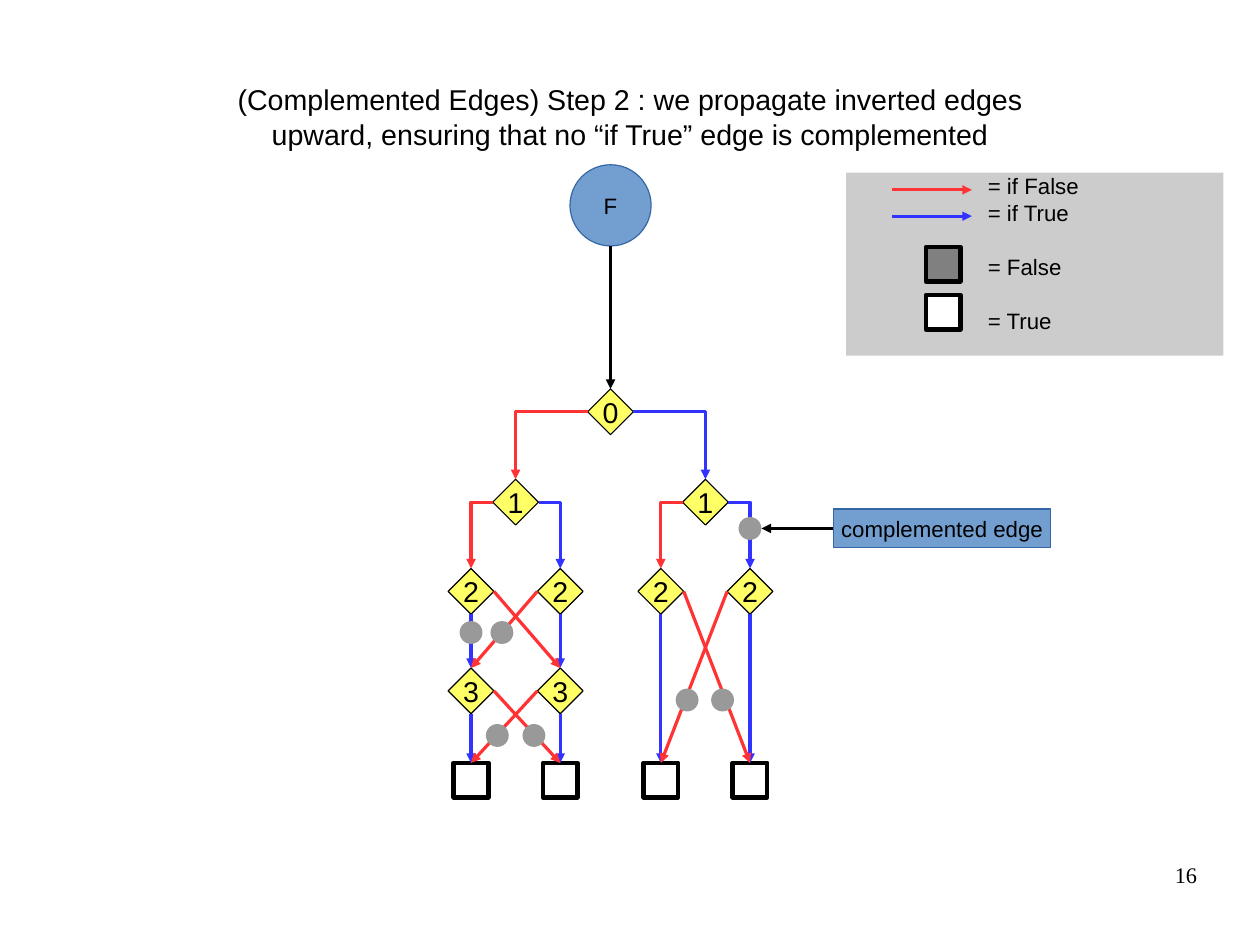
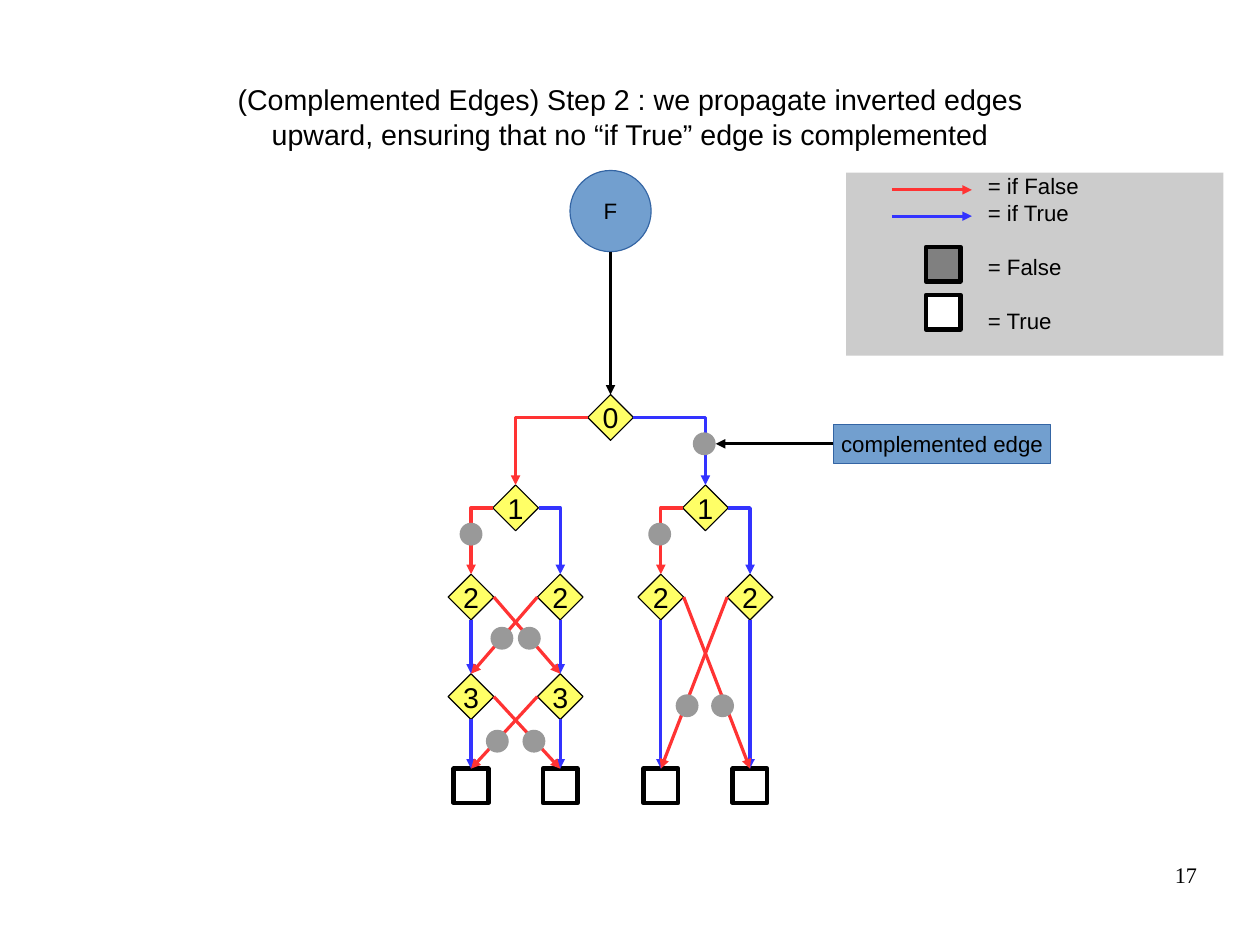
import lxml.etree
import pptx
import pptx.dml.color
import pptx.enum.shapes
import pptx.enum.text
import pptx.oxml.ns
import pptx.util

Inches = pptx.util.Inches
Pt = pptx.util.Pt
KIND = pptx.enum.shapes.MSO_SHAPE
ALIGN = pptx.enum.text.PP_ALIGN
ANCHOR = pptx.enum.text.MSO_ANCHOR

BLACK, WHITE, GREY = "000000", "FFFFFF", "808080"
RED, BLUE = "FF3333", "3333FF"
SKY, NAVY, YELLOW = "729FCF", "3465A4", "FFFF66"
DOT, PANEL = "999999", "CCCCCC"
TOP, LEFT, BOTTOM, RIGHT = range(4)

TITLE = ("(Complemented Edges) Step 2 : we propagate inverted edges\v"
         "upward, ensuring that no “if True” edge is complemented")
SHARED = [(0.98, 2.52), (0.67, 2.52), (-0.99, 2.83), (-0.67, 2.83), (-0.95, 1.93)]
PAGES = [
    ("16", 1.44, [(-1.22, 1.93)], (1.22, 1.02)),
    ("17", 1.49, [(-1.22, 1.02), (0.43, 1.02), (-0.71, 1.93)], (0.82, 0.23)),
]


def paint(value):
    """Turn a hex string into a colour."""
    return pptx.dml.color.RGBColor.from_string(value)


def write(shape, text, size=14, font="Arial", align=ALIGN.CENTER,
          anchor=ANCHOR.MIDDLE, wrap=False, inset=(0, 0), gaps=()):
    """Fill a shape with text, one paragraph a line."""
    frame = shape.text_frame
    frame.word_wrap = wrap
    frame.vertical_anchor = anchor
    frame.margin_left, frame.margin_top = map(Inches, inset)
    frame.margin_right = frame.margin_bottom = 0
    frame.text = text
    for item in frame.paragraphs:
        item.alignment = align
        item.font.size = Pt(size)
        item.font.name = font
        item.font.color.rgb = paint(BLACK)
    for item, gap in zip(frame.paragraphs[1:], gaps):
        item.space_before = Pt(gap)


def label(slide, text, x, y, w, h, **style):
    """Add a text box."""
    write(slide.shapes.add_textbox(*map(Inches, (x, y, w, h))), text, wrap=True, **style)


def block(slide, kind, x, y, w, h, fill, line=None, width=0):
    """Add a filled shape by its top left corner."""
    shape = slide.shapes.add_shape(kind, *map(Inches, (x, y, w, h)))
    shape.shadow.inherit = False
    shape.fill.solid()
    shape.fill.fore_color.rgb = paint(fill)
    if line:
        shape.line.color.rgb = paint(line)
        shape.line.width = Pt(width)
    else:
        shape.line.fill.background()
    return shape


def square(slide, x, y, fill=WHITE):
    """Add a terminal square centred on a point."""
    return block(slide, KIND.RECTANGLE, x - 0.15, y - 0.15, 0.3, 0.3, fill, BLACK, 3)


def node(slide, x, y, text):
    """Add a decision diamond centred on a point."""
    shape = block(slide, KIND.DIAMOND, x - 0.2, y - 0.2, 0.4, 0.4, YELLOW, BLACK)
    write(shape, text, size=18)
    return shape


def arrow(slide, color, start=(0, 0), end=(0, 0), tail=None, head=None, bent=False):
    """Add an arrow between points, or between (shape, side) joins."""
    kinds = pptx.enum.shapes.MSO_CONNECTOR
    kind = kinds.ELBOW if bent else kinds.STRAIGHT
    line = slide.shapes.add_connector(kind, *map(Inches, (*start, *end)))
    if tail:
        line.begin_connect(*tail)
    if head:
        line.end_connect(*head)
    line.line.color.rgb = paint(color)
    line.line.width = Pt(0)
    name = pptx.oxml.ns.qn
    prop = line.element.spPr
    if bent:
        prop.find(name("a:prstGeom")).set("prst", "bentConnector2")
    lxml.etree.SubElement(prop.find(name("a:ln")), name("a:tailEnd"), type="triangle")
    lxml.etree.SubElement(prop, name("a:effectLst"))


def fork(slide, top, left, right):
    """Join a node to its false and true children by elbows."""
    arrow(slide, BLUE, tail=(top, RIGHT), head=(right, TOP), bent=True)
    arrow(slide, RED, tail=(top, LEFT), head=(left, TOP), bent=True)


def cross(slide, upper, lower):
    """Join two pairs: true edges straight down, false edges crossing."""
    for above, below in zip(upper, lower):
        arrow(slide, BLUE, tail=(above, BOTTOM), head=(below, TOP))
    for above, below, side in zip(upper, lower[::-1], (RIGHT, LEFT)):
        arrow(slide, RED, tail=(above, side), head=(below, TOP))


def tree(slide, x, y, dots, mark):
    """Draw the diagram below a top centre point, with its inverted edges."""
    base = y + 2.16
    circle = block(slide, KIND.OVAL, x - 0.355, y, 0.71, 0.71, SKY, NAVY)
    write(circle, "F")
    root = node(slide, x, base, "0")
    arrow(slide, BLACK, start=(x, y + 0.71), end=(x, base - 0.2), head=(root, TOP))
    halves = []
    for mid, deep in ((x - 0.83, True), (x + 0.83, False)):
        cols = (mid - 0.39, mid + 0.39)
        half = node(slide, mid, base + 0.79, "1")
        rows = [[node(slide, col, base + 1.57, "2") for col in cols]]
        if deep:
            rows.append([node(slide, col, base + 2.44, "3") for col in cols])
        rows.append([square(slide, col, base + 3.22) for col in cols])
        fork(slide, half, *rows[0])
        for upper, lower in zip(rows, rows[1:]):
            cross(slide, upper, lower)
        halves.append(half)
    fork(slide, root, *halves)
    for dx, dy in SHARED + dots + [mark]:
        block(slide, KIND.OVAL, x + dx - 0.1, base + dy - 0.1, 0.2, 0.2, DOT)
    dx, dy = mark
    note = block(slide, KIND.RECTANGLE, x + 1.95, base + dy - 0.17, 1.9, 0.34, SKY, NAVY)
    write(note, "complemented edge")
    arrow(slide, BLACK, end=(x + dx + 0.1, base + dy), tail=(note, LEFT))


def legend(slide, x, y, w, h):
    """Draw the key to edges and terminals."""
    panel = block(slide, KIND.RECTANGLE, x, y, w, h, PANEL)
    write(panel, "= if False\n= if True\n= False\n= True", align=ALIGN.LEFT,
          anchor=ANCHOR.TOP, inset=(1.24, 0), gaps=(0, 17, 17))
    for dy, color in ((0.15, RED), (0.38, BLUE)):
        arrow(slide, color, start=(x + 0.4, y + dy), end=(x + 1.1, y + dy))
    for dy, fill in ((0.8, GREY), (1.22, WHITE)):
        square(slide, x + 0.85, y + dy, fill)


def page(deck, number, y, dots, mark):
    """Build one slide."""
    slide = deck.slides.add_slide(deck.slide_layouts[6])
    label(slide, TITLE, 0.55, 0.33, 9.92, 1.38, size=18)
    tree(slide, 5.34, y, dots, mark)
    legend(slide, 7.4, 1.51, 3.3, 1.6)
    label(slide, number, 7.9, 7.53, 2.57, 0.57, font="Times New Roman",
          align=ALIGN.RIGHT, anchor=ANCHOR.TOP)


def main():
    """Build and save the deck."""
    deck = pptx.Presentation()
    deck.slide_width, deck.slide_height = Inches(11.02), Inches(8.27)
    for item in PAGES:
        page(deck, *item)
    deck.save("out.pptx")


if __name__ == "__main__":
    main()
